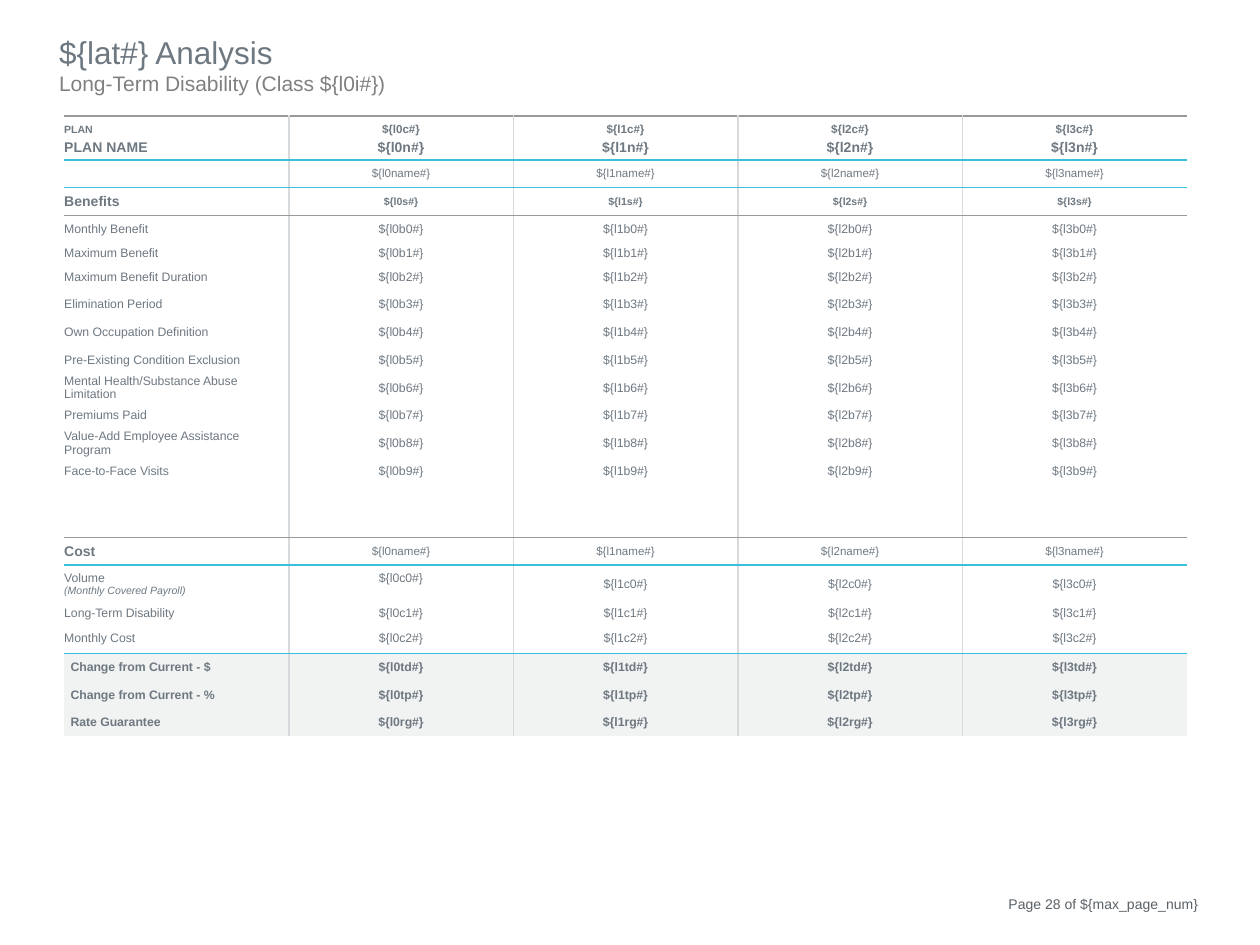
from collections import namedtuple

from lxml.etree import SubElement
from pptx import Presentation
from pptx.dml.color import RGBColor
from pptx.enum.text import MSO_ANCHOR as Anchor, PP_ALIGN as Align
from pptx.oxml.ns import qn
from pptx.util import Inches, Pt

SLATE, TEAL, RULE, DIVIDER, SHADE = "6E7881", "3AC0DA", "999999", "D7DADC", "F1F2F2"
PLANS = 4

# rule is the colour of the line under the row
Row = namedtuple("Row", "label key height label_size value_size bold rule note shaded",
                 defaults=(0.22, 7, 7, False, None, None, False))

BENEFITS = [
    "Monthly Benefit", "Maximum Benefit", "Maximum Benefit Duration",
    "Elimination Period", "Own Occupation Definition",
    "Pre-Existing Condition Exclusion", "Mental Health/Substance Abuse Limitation",
    "Premiums Paid", "Value-Add Employee Assistance Program", "Face-to-Face Visits",
]
ROWS = [
    Row("PLAN", "c", 0.16, 6, 6.6, True),
    Row("PLAN NAME", "n", 0.19, 8, 8, True, TEAL),
    Row("", "name", value_size=6.6, rule=TEAL),
    Row("Benefits", "s", label_size=8, value_size=6, bold=True, rule=RULE),
    *(Row(label, f"b{number}", 0.16 if number == 1 else 0.22)
      for number, label in enumerate(BENEFITS)),
    Row("", ""),
    Row("", "", 0.2, rule=RULE),
    Row("Cost", "name", label_size=8, value_size=6.6, rule=TEAL),
    Row("Volume", "c0", 0.3, note="(Monthly Covered Payroll)"),
    Row("Long-Term Disability", "c1", 0.16),
    Row("Monthly Cost", "c2", 0.24, rule=TEAL),
    Row("Change from Current - $", "td", bold=True, shaded=True),
    Row("Change from Current - %", "tp", bold=True, shaded=True),
    Row("Rate Guarantee", "rg", bold=True, shaded=True),
]


def color(value):
    return RGBColor.from_string(value)


def add_run(para, text, size, hue, bold=False, italic=False):
    span = para.add_run()
    span.text = text
    font = span.font
    font.name, font.size, font.bold, font.italic = "Arial", Pt(size), bold, italic
    font.color.rgb = color(hue)


def set_borders(cell, **edges):
    """Draw each edge (L, R, T, B) in its colour, or hide it where there is none."""
    properties = cell._tc.get_or_add_tcPr()
    for side in "LRTB":
        line = SubElement(properties, qn(f"a:ln{side}"), w=str(Pt(1)))
        if edges[side]:
            fill = SubElement(line, qn("a:solidFill"))
            SubElement(fill, qn("a:srgbClr"), val=edges[side])
        else:
            SubElement(line, qn("a:noFill"))


def fill_cell(cell, row, column):
    inset = Inches(0.05 if row.shaded else 0)
    cell.margin_left = cell.margin_right = cell.margin_top = cell.margin_bottom = inset
    cell.vertical_anchor = Anchor.BOTTOM if row.label == "PLAN" else Anchor.MIDDLE
    para = cell.text_frame.paragraphs[0]
    para.alignment = Align.CENTER if column else Align.LEFT
    value = f"${{l{column - 1}{row.key}#}}" if row.key else ""
    text = value if column else row.label
    if not text:
        # keeps the empty row from growing to the default text size
        SubElement(para._p, qn("a:endParaRPr"), sz="700")
        return
    size = row.value_size if column else row.label_size
    bold = row.bold or (row.label == "Cost" and not column)
    add_run(para, text, size, SLATE, bold)
    if row.note and column == 0:
        add_run(cell.text_frame.add_paragraph(), row.note, 6, SLATE, italic=True)
    elif row.note and column == 1:
        cell.margin_bottom = Inches(0.1)  # the first plan's volume sits level with its label


def add_plan_table(page, left, top, width):
    columns = PLANS + 1
    height = sum(row.height for row in ROWS)
    table = page.shapes.add_table(len(ROWS), columns, Inches(left), Inches(top),
                                  Inches(width), Inches(height)).table
    table.first_row = table.horz_banding = False
    for column in table.columns:
        column.width = Inches(width / columns)
    rule_above = RULE
    for index, row in enumerate(ROWS):
        table.rows[index].height = Inches(row.height)
        for column in range(columns):
            cell = table.cell(index, column)
            fill_cell(cell, row, column)
            set_borders(cell, L=DIVIDER if column else None,
                        R=DIVIDER if column < PLANS else None,
                        T=rule_above, B=row.rule)
            if row.shaded:
                cell.fill.solid()
                cell.fill.fore_color.rgb = color(SHADE)
            else:
                cell.fill.background()
        rule_above = row.rule


def add_text_box(page, left, top, width, height, lines, align=Align.LEFT):
    """Lines are (text, size, colour), one paragraph each."""
    box = page.shapes.add_textbox(Inches(left), Inches(top), Inches(width), Inches(height))
    frame = box.text_frame
    frame.word_wrap = True
    for index, line in enumerate(lines):
        para = frame.add_paragraph() if index else frame.paragraphs[0]
        para.alignment = align
        add_run(para, *line)


def main():
    deck = Presentation()
    deck.slide_width, deck.slide_height = Inches(10), Inches(7.5)
    page = deck.slides.add_slide(deck.slide_layouts[6])
    add_plan_table(page, 0.51, 0.92, 8.91)
    add_text_box(page, 0.37, 0.21, 4.72, 0.61, [
        ("${lat#} Analysis", 18, SLATE),
        ("Long-Term Disability (Class ${l0i#})", 12, "808080"),
    ])
    add_text_box(page, 7.36, 7.06, 2.25, 0.33,
                 [("Page 28 of ${max_page_num}", 8, "5A6166")], Align.RIGHT)
    deck.save("out.pptx")


if __name__ == "__main__":
    main()
